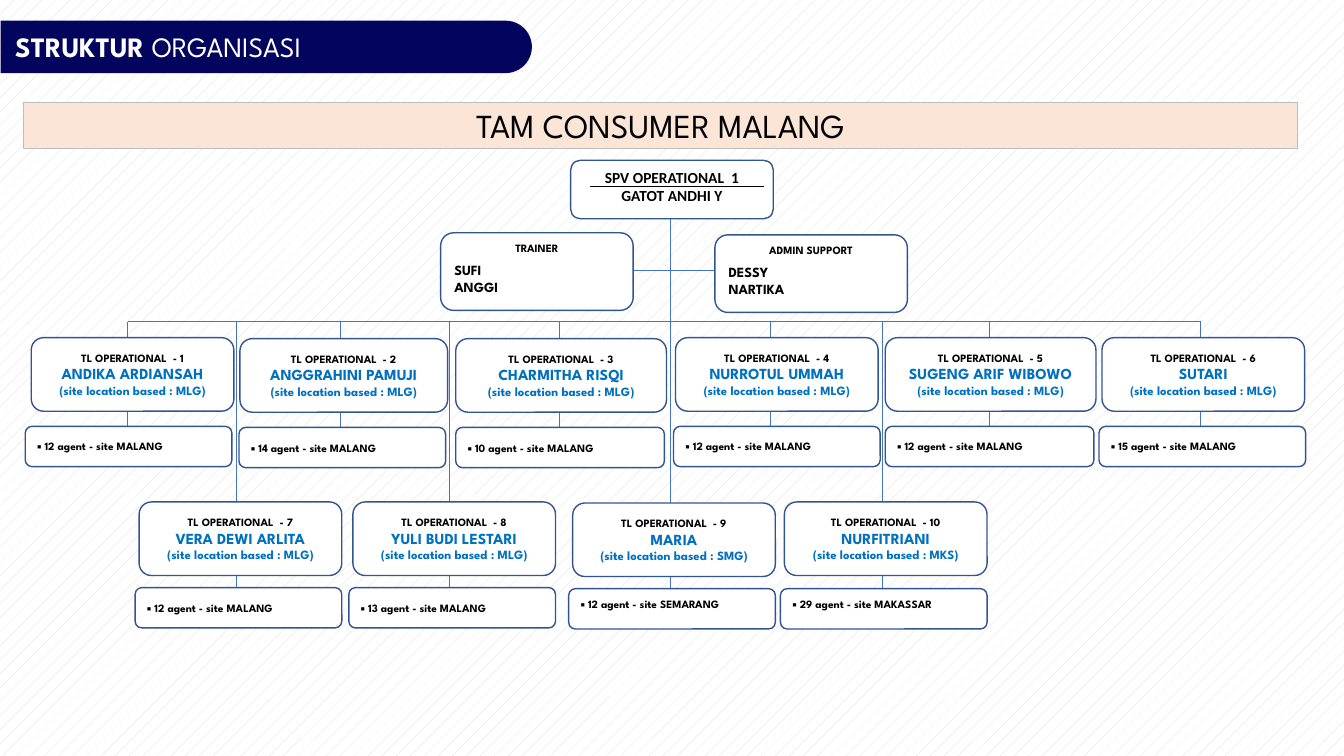
"""Build the organisation chart slide for the Malang consumer team."""
from lxml import etree
from pptx import Presentation
from pptx.dml.color import RGBColor
from pptx.enum.dml import MSO_PATTERN
from pptx.enum.shapes import MSO_CONNECTOR, MSO_SHAPE
from pptx.enum.text import MSO_ANCHOR, MSO_AUTO_SIZE, PP_ALIGN
from pptx.oxml.ns import qn
from pptx.util import Inches, Pt

ROUND, RECT, TAB = MSO_SHAPE.ROUNDED_RECTANGLE, MSO_SHAPE.RECTANGLE, MSO_SHAPE.ROUND_2_SAME_RECTANGLE
STRAIGHT = MSO_CONNECTOR.STRAIGHT
TOP, MIDDLE = MSO_ANCHOR.TOP, MSO_ANCHOR.MIDDLE
LEFT, CENTER = PP_ALIGN.LEFT, PP_ALIGN.CENTER

COLORS = {name: RGBColor.from_string(code) for name, code in {
    "navy": "03045E", "white": "FFFFFF", "black": "000000", "border": "325491",
    "link": "4472C4", "name": "0070C0", "peach": "FBE5D6", "grey": "BDBDBD", "dots": "D9D9D9",
}.items()}

STYLES = {
    "heading": ("black", CENTER, 0, {"name": "League Spartan", "size": Pt(24), "bold": False}),
    "supervisor": ("black", CENTER, 0, {"name": "Calibri", "size": Pt(11), "bold": True}),
    "role": ("black", CENTER, 0, {"name": "League Spartan", "size": Pt(8), "bold": True}),
    "leader": ("name", CENTER, 0, {"name": "League Spartan", "size": Pt(11), "bold": True}),
    "site": ("name", CENTER, 0, {"name": "League Spartan", "size": Pt(9), "bold": True}),
    "first": ("black", LEFT, 5, {"name": "League Spartan", "size": Pt(10), "bold": True}),
    "member": ("black", LEFT, 0, {"name": "League Spartan", "size": Pt(10), "bold": True}),
    "agents": ("black", LEFT, 0, {"name": "League Spartan", "size": Pt(8), "bold": True}),
}

TEAMS = [
    ("ANDIKA ARDIANSAH", "MLG", "12 agent - site MALANG", 1.26, (0.31, 3.35, 2.01), (0.25, 4.23, 2.05)),
    ("ANGGRAHINI PAMUJI", "MLG", "14 agent - site MALANG", 3.38, (2.38, 3.36, 2.06), (2.37, 4.24, 2.05)),
    ("CHARMITHA RISQI", "MLG", "10 agent - site MALANG", 5.55, (4.52, 3.36, 2.09), (4.52, 4.24, 2.07)),
    ("NURROTUL UMMAH", "MLG", "12 agent - site MALANG", 7.64, (6.7, 3.35, 2.01), (6.68, 4.23, 2.05)),
    ("SUGENG ARIF WIBOWO", "MLG", "12 agent - site MALANG", 9.81, (8.78, 3.35, 2.09), (8.78, 4.23, 2.07)),
    ("SUTARI", "MLG", "15 agent - site MALANG", 11.91, (10.93, 3.35, 2.01), (10.9, 4.23, 2.05)),
    ("VERA DEWI ARLITA", "MLG", "12 agent - site MALANG", 2.34, (1.38, 4.98, 2.01), (1.34, 5.83, 2.05)),
    ("YULI BUDI LESTARI", "MLG", "13 agent - site MALANG", 4.46, (3.5, 4.98, 2.01), (3.46, 5.83, 2.05)),
    ("MARIA", "SMG", "12 agent - site SEMARANG", 6.65, (5.68, 4.99, 2.01), (5.64, 5.84, 2.05)),
    ("NURFITRIANI", "MKS", "29 agent - site MAKASSAR", 8.75, (7.78, 4.98, 2.01), (7.74, 5.84, 2.05)),
]

prs = Presentation()
prs.slide_width, prs.slide_height = Inches(13.33), Inches(7.5)
slide = prs.slides.add_slide(prs.slide_layouts[5])

backdrop = slide.background.fill
backdrop.patterned()
backdrop.pattern = MSO_PATTERN.PERCENT_5
backdrop.fore_color.rgb = COLORS["dots"]
backdrop.back_color.rgb = COLORS["white"]


def add_box(at, lines=(), anchor=MIDDLE, kind=ROUND, fill="white", border="border", weight=1):
    box = slide.shapes.add_shape(kind, *map(Inches, at))
    box.shadow.inherit = False
    box.fill.solid()
    box.fill.fore_color.rgb = COLORS[fill]
    if border:
        box.line.color.rgb = COLORS[border]
        box.line.width = Pt(weight)
    else:
        box.line.fill.background()
    frame = box.text_frame
    frame.word_wrap = True
    frame.vertical_anchor = anchor
    for index, (text, style) in enumerate(lines):
        color, alignment, gap, font = STYLES[style]
        paragraph = frame.add_paragraph() if index else frame.paragraphs[0]
        paragraph.alignment = alignment
        paragraph.space_before = Pt(gap)
        run = paragraph.add_run()
        run.text = text
        run.font.color.rgb = COLORS[color]
        for key, value in font.items():
            setattr(run.font, key, value)
    return box


def add_link(x1, y1, x2, y2, color="link"):
    link = slide.shapes.add_connector(STRAIGHT, *map(Inches, (x1, y1, x2, y2)))
    link.line.color.rgb = COLORS[color]
    link.line.width = Pt(0.5)
    etree.SubElement(link.element.spPr, qn("a:effectLst"))


banner = add_box((2.38, -2.17, 0.52, 5.27), kind=TAB, fill="navy", border=None)
banner.rotation = 90
banner.adjustments[0], banner.adjustments[1] = 0.5, 0

title = slide.shapes.title
title.element.addprevious(banner.element)
title.left, title.top, title.width, title.height = map(Inches, (0.15, 0.29, 4.88, 0.34))
for key, value in {"margin_left": 0, "margin_right": 0, "margin_top": 0, "margin_bottom": 0,
                   "word_wrap": True, "vertical_anchor": MIDDLE, "auto_size": MSO_AUTO_SIZE.NONE}.items():
    setattr(title.text_frame, key, value)
heading = title.text_frame.paragraphs[0]
heading.alignment = LEFT
for word, bold in (("STRUKTUR ", True), ("ORGANISASI", False)):
    run = heading.add_run()
    run.text = word
    run.font.color.rgb = COLORS["white"]
    for key, value in {"name": "League Spartan", "size": Pt(20), "bold": bold}.items():
        setattr(run.font, key, value)

add_box((0.23, 1.02, 12.64, 0.45), [("TAM CONSUMER MALANG", "heading")],
        kind=RECT, fill="peach", border="grey", weight=0.75)

add_link(6.65, 2.17, 6.65, 3.18)
add_link(6.28, 2.68, 7.08, 2.68)
add_link(1.27, 3.19, 11.91, 3.19)
for leader, site, agents, stem, leader_at, agents_at in TEAMS:
    add_link(stem, 3.19, stem, agents_at[1])

add_box((5.66, 1.59, 2.01, 0.58),
        [("SPV OPERATIONAL  1", "supervisor"), ("GATOT ANDHI Y", "supervisor")], TOP)
add_link(5.85, 1.85, 7.58, 1.85, "black")

for role, members, left, top in (("TRAINER", ("SUFI", "ANGGI"), 4.37, 2.31),
                                 ("ADMIN SUPPORT", ("DESSY", "NARTIKA"), 7.09, 2.33)):
    add_box((left, top, 1.91, 0.77),
            [(role, "role"), (members[0], "first"), (members[1], "member")], TOP)

for number, (leader, site, agents, stem, leader_at, agents_at) in enumerate(TEAMS, 1):
    left, top, width = leader_at
    add_box((left, top, width, 0.73),
            [(f"TL OPERATIONAL  - {number}", "role"), (leader, "leader"),
             (f"(site location based : {site})", "site")])
    left, top, width = agents_at
    agent_box = add_box((left, top, width, 0.4), [(f"▪ {agents}", "agents")])
    if site != "MLG":
        agent_box.text_frame.margin_bottom = Inches(0.15)

prs.save("out.pptx")
